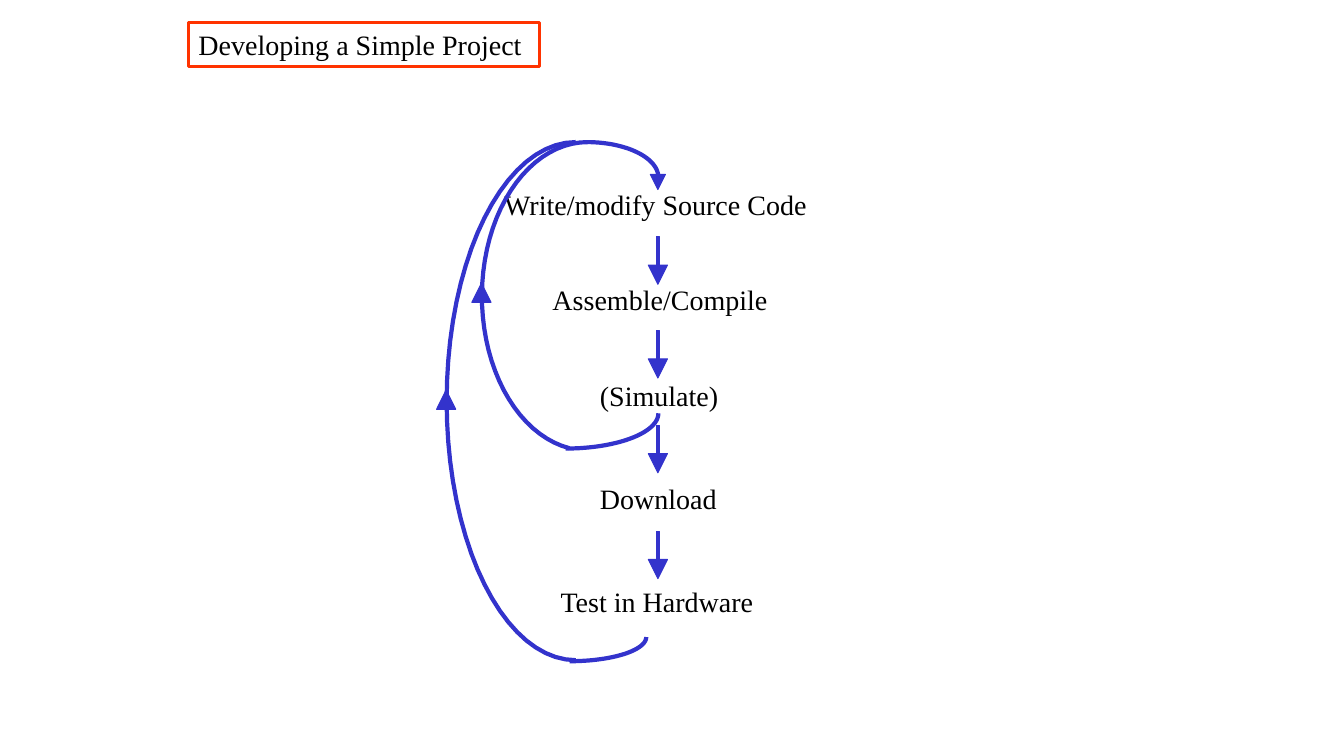
"""Build the project development cycle slide."""
import math

from pptx import Presentation
from pptx import util as u
from pptx.dml import color
from pptx.enum import shapes, text

PX = 9144
THEME = {
    "ink": color.RGBColor.from_string("000000"),
    "arrow": color.RGBColor.from_string("3333CC"),
    "frame": color.RGBColor.from_string("FF3300"),
    "font": {"name": "Times New Roman", "size": u.Pt(20)},
    "thin": u.Pt(0.75),
    "border": u.Pt(2.25),
    "loop": u.Pt(3),
}

presentation = Presentation()
presentation.slide_width = 1333 * PX
presentation.slide_height = 750 * PX
slide = presentation.slides.add_slide(presentation.slide_layouts[6])


def write(shape, words, margin_x=0, margin_y=0, anchor=text.MSO_ANCHOR.TOP):
    frame = shape.text_frame
    frame_format = {
        "margin_left": margin_x * PX,
        "margin_right": margin_x * PX,
        "margin_top": margin_y * PX,
        "margin_bottom": margin_y * PX,
        "word_wrap": False,
        "auto_size": text.MSO_AUTO_SIZE.SHAPE_TO_FIT_TEXT,
        "vertical_anchor": anchor,
    }
    for name, value in frame_format.items():
        setattr(frame, name, value)
    paragraph = frame.paragraphs[0]
    paragraph.alignment = text.PP_ALIGN.LEFT
    run = paragraph.add_run()
    run.text = words
    for name, value in THEME["font"].items():
        setattr(run.font, name, value)
    run.font.color.rgb = THEME["ink"]


def add_solid(kind, left, top, width, height, rotation=0):
    shape = slide.shapes.add_shape(kind, left * PX, top * PX, width * PX, height * PX)
    shape.shadow.inherit = False
    shape.rotation = rotation
    shape.fill.solid()
    shape.fill.fore_color.rgb = THEME["arrow"]
    shape.line.color.rgb = THEME["arrow"]
    shape.line.width = THEME["thin"]


title = slide.shapes.add_shape(
    shapes.MSO_SHAPE.RECTANGLE, 187 * PX, 22 * PX, 348 * PX, 44 * PX)
title.shadow.inherit = False
title.fill.background()
title.line.color.rgb = THEME["frame"]
title.line.width = THEME["border"]
write(title, "Developing a Simple Project", 10, 5, text.MSO_ANCHOR.MIDDLE)

steps = [
    ("Write/modify Source Code", 500, 186, 306),
    ("Assemble/Compile", 548, 280, 220),
    ("(Simulate)", 595, 376, 122),
    ("Download", 595, 478, 120),
    ("Test in Hardware", 556, 580, 198),
]
for words, left, top, width in steps:
    step = slide.shapes.add_textbox(left * PX, top * PX, width * PX, 33 * PX)
    write(step, words)

for shaft_top in (235, 328, 422, 527):
    add_solid(shapes.MSO_SHAPE.RECTANGLE, 651, shaft_top, 3, 28)
    add_solid(shapes.MSO_SHAPE.ISOSCELES_TRIANGLE, 643, shaft_top + 28, 19, 19, 180)

# center x, center y, radius x, radius y, start angle, end angle
loop_arcs = [
    (583, 294, 105, 153, 270, 100),
    (561, 410, 92, 35, 90, 0),
    (582, 176, 71, 35, 270, 360),
    (571, 398, 128, 257, 270, 90),
    (565, 632, 76, 24, 90, 0),
]
SEGMENTS = 40
for center_x, center_y, radius_x, radius_y, start, end in loop_arcs:
    angles = [math.radians(start + (end - start) * i / SEGMENTS)
              for i in range(SEGMENTS + 1)]
    points = [(round((center_x + radius_x * math.cos(angle)) * PX),
               round((center_y + radius_y * math.sin(angle)) * PX))
              for angle in angles]
    builder = slide.shapes.build_freeform(*points[0])
    builder.add_line_segments(points[1:], close=False)
    arc = builder.convert_to_shape()
    arc.shadow.inherit = False
    arc.fill.background()
    arc.line.color.rgb = THEME["arrow"]
    arc.line.width = THEME["loop"]

loop_heads = [(645, 173, 15, 180), (433, 387, 19, 0), (468, 281, 19, 0)]
for left, top, side, rotation in loop_heads:
    add_solid(shapes.MSO_SHAPE.ISOSCELES_TRIANGLE, left, top, side, side, rotation)

presentation.save("out.pptx")
